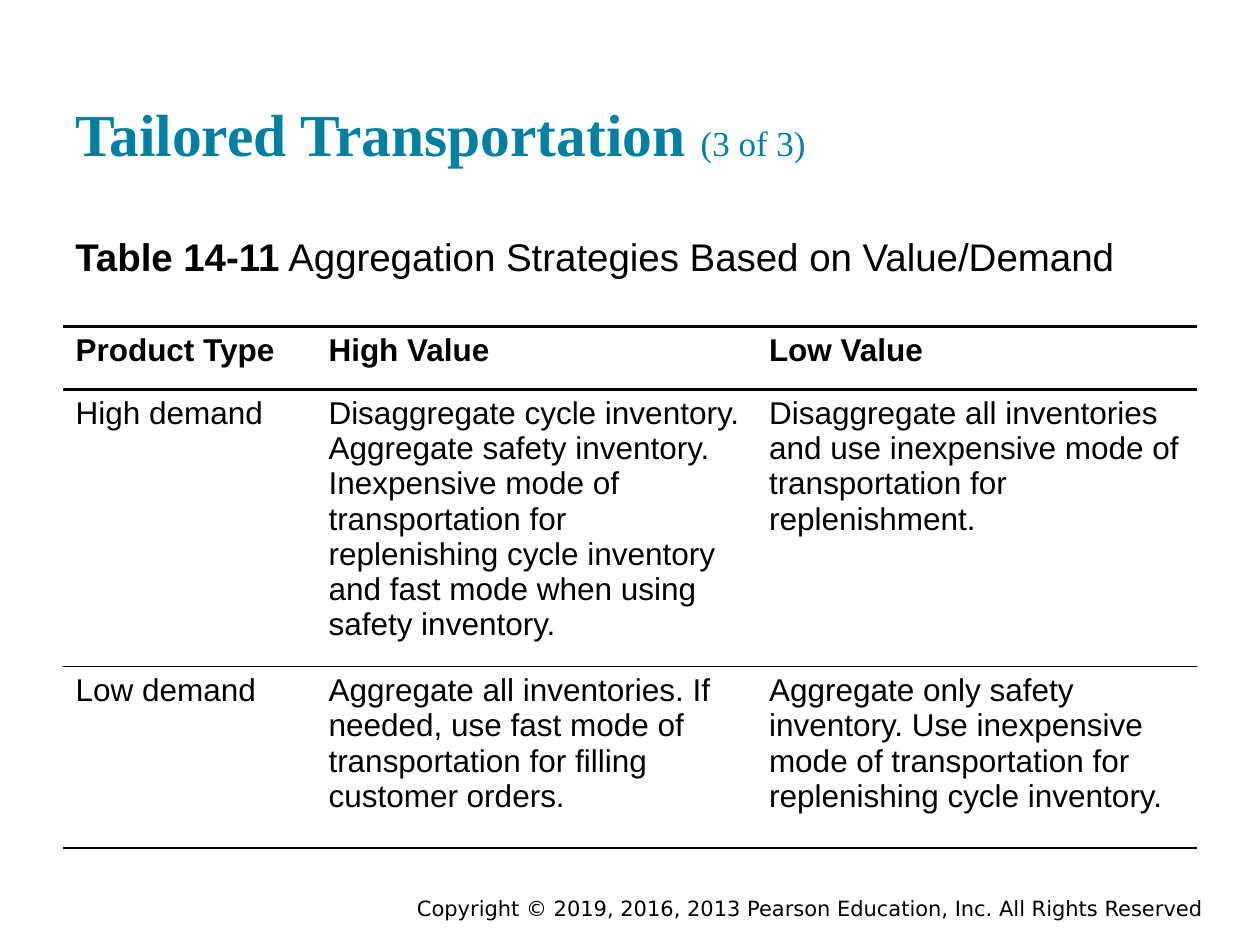
from lxml import etree
from pptx import Presentation
from pptx.dml.color import RGBColor
from pptx.enum.text import MSO_ANCHOR, PP_ALIGN
from pptx.oxml.ns import qn
from pptx.util import Cm, Pt

BLACK = RGBColor(0x00, 0x00, 0x00)
TEAL = RGBColor(0x00, 0x7F, 0xA3)
TOP, BOTTOM = MSO_ANCHOR.TOP, MSO_ANCHOR.BOTTOM
MIDDLE = MSO_ANCHOR.MIDDLE
LEFT, RIGHT = PP_ALIGN.LEFT, PP_ALIGN.RIGHT

MARGIN = Cm(1.27)
CONTENT_WIDTH = Cm(22.86)
COLUMN_WIDTHS = [Cm(5.1), Cm(8.88), Cm(8.88)]
ROW_HEIGHTS = [Cm(1.27), Cm(5.34), Cm(3.66)]
RULES = [1.5, 1.5, 1, 1.5]  # points, from above the header to below the last row

STRATEGIES = [
    ["Product Type", "High Value", "Low Value"],
    ["High demand",
     "Disaggregate cycle inventory. Aggregate safety inventory. Inexpensive mode of "
     "transportation for replenishing cycle inventory and fast mode when using safety inventory.",
     "Disaggregate all inventories and use inexpensive mode of transportation for replenishment."],
    ["Low demand",
     "Aggregate all inventories. If needed, use fast mode of transportation for filling "
     "customer orders.",
     "Aggregate only safety inventory. Use inexpensive mode of transportation for "
     "replenishing cycle inventory."],
]


def style_font(font, name, size, color, bold=False):
    font.name = name
    font.size = Pt(size)
    font.bold = bold
    font.color.rgb = color


def add_text(slide, box, runs, font_name, color, anchor=TOP, align=LEFT, inset=Cm(0.25)):
    """Add one line of text; runs holds (text, size, bold) tuples."""
    frame = slide.shapes.add_textbox(*box).text_frame
    frame.word_wrap = True
    frame.vertical_anchor = anchor
    frame.margin_top = frame.margin_bottom = inset
    line = frame.paragraphs[0]
    line.alignment = align
    for text, size, bold in runs:
        run = line.add_run()
        run.text = text
        style_font(run.font, font_name, size, color, bold)


def set_border(cell, side, points):
    """Draw one side of a cell, or leave it empty when points is 0."""
    border = etree.SubElement(cell._tc.get_or_add_tcPr(), qn(f"a:ln{side}"), w=str(Pt(points)))
    if points:
        fill = etree.SubElement(border, qn("a:solidFill"))
        etree.SubElement(fill, qn("a:srgbClr"), val=str(BLACK))
    else:
        etree.SubElement(border, qn("a:noFill"))


def fill_cell(cell, text, bold, rule_above, rule_below):
    for side, points in (("L", 0), ("R", 0), ("T", rule_above), ("B", rule_below)):
        set_border(cell, side, points)
    cell.fill.background()
    cell.text = text
    style_font(cell.text_frame.paragraphs[0].font, "Arial", 18, BLACK, bold)


def add_strategy_table(slide):
    table = slide.shapes.add_table(len(ROW_HEIGHTS), len(COLUMN_WIDTHS), MARGIN, Cm(6.58),
                                   CONTENT_WIDTH, sum(ROW_HEIGHTS)).table
    table.first_row = table.horz_banding = False
    for column, width in zip(table.columns, COLUMN_WIDTHS):
        column.width = width
    for i, texts in enumerate(STRATEGIES):
        table.rows[i].height = ROW_HEIGHTS[i]
        for j, text in enumerate(texts):
            fill_cell(table.cell(i, j), text, i == 0, RULES[i], RULES[i + 1])


def main():
    prs = Presentation()
    prs.slide_width, prs.slide_height = Cm(25.4), Cm(19.05)
    slide = prs.slides.add_slide(prs.slide_layouts[6])

    # Copyright line
    add_text(slide, (Cm(7.62), Cm(17.98), Cm(16.89), Cm(0.64)),
             [("Copyright © 2019, 2016, 2013 Pearson Education, Inc. All Rights Reserved", 12, False)],
             "DejaVu Sans", BLACK, MIDDLE, RIGHT, Cm(0))

    # Title
    add_text(slide, (MARGIN, Cm(1.68), CONTENT_WIDTH, Cm(1.96)),
             [("Tailored Transportation ", 34, True), ("(3 of 3)", 20, False)],
             "Times New Roman", TEAL, BOTTOM)

    # Table caption and table
    add_text(slide, (MARGIN, Cm(4.45), CONTENT_WIDTH, Cm(1.6)),
             [("Table 14-11", 22, True),
              (" Aggregation Strategies Based on Value/Demand", 22, False)],
             "Arial", BLACK)
    add_strategy_table(slide)

    prs.save("out.pptx")


if __name__ == "__main__":
    main()
